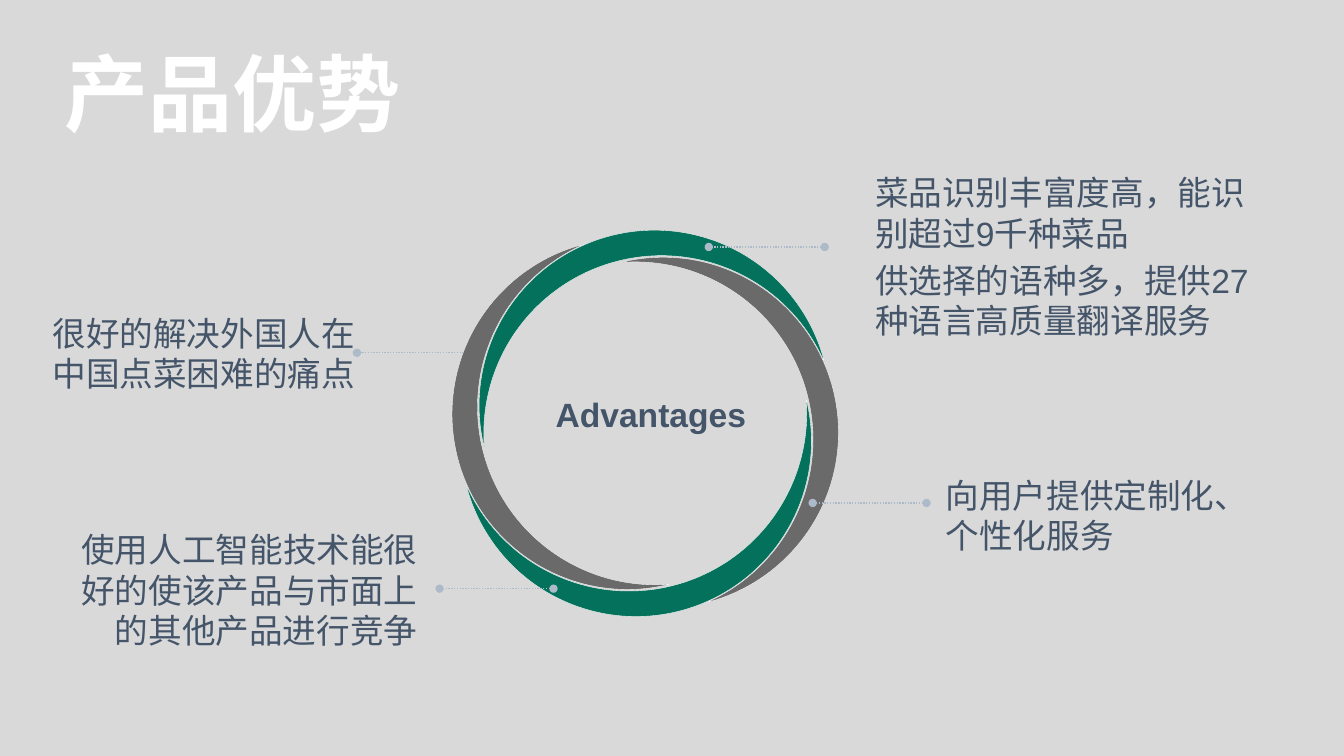
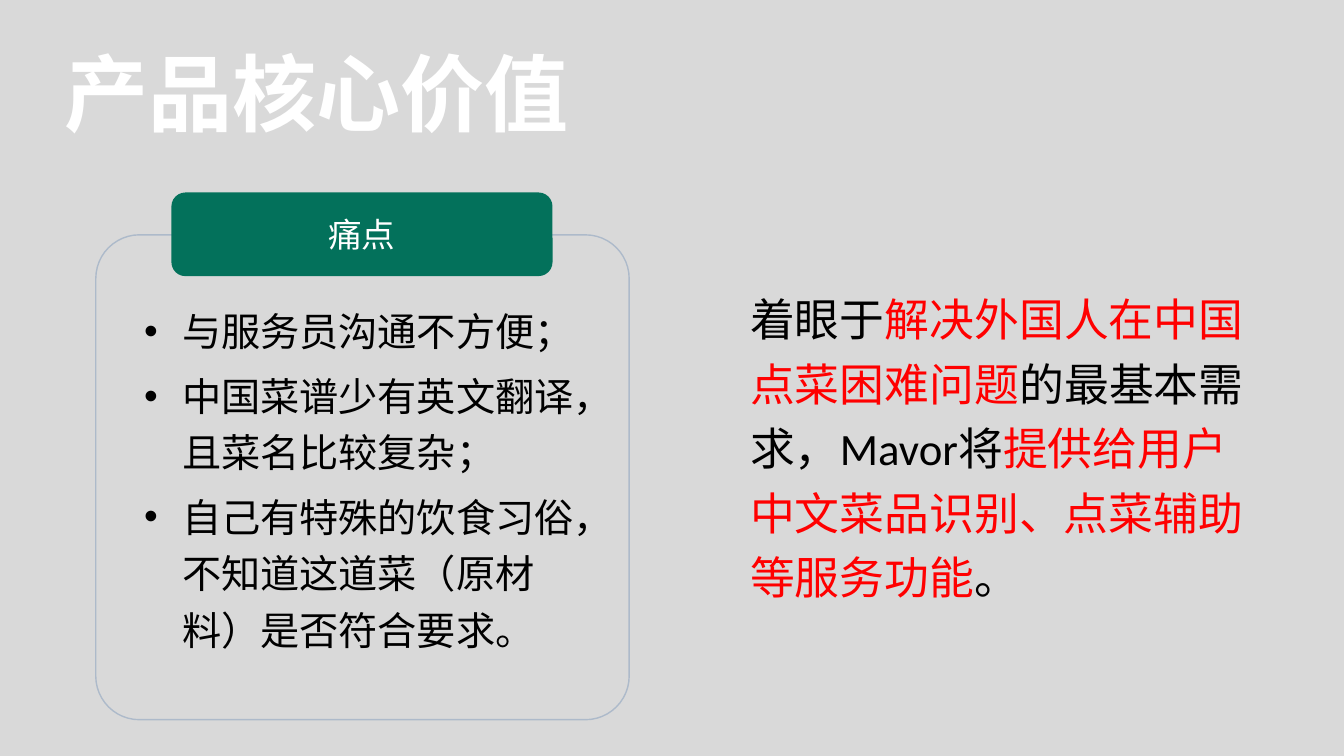
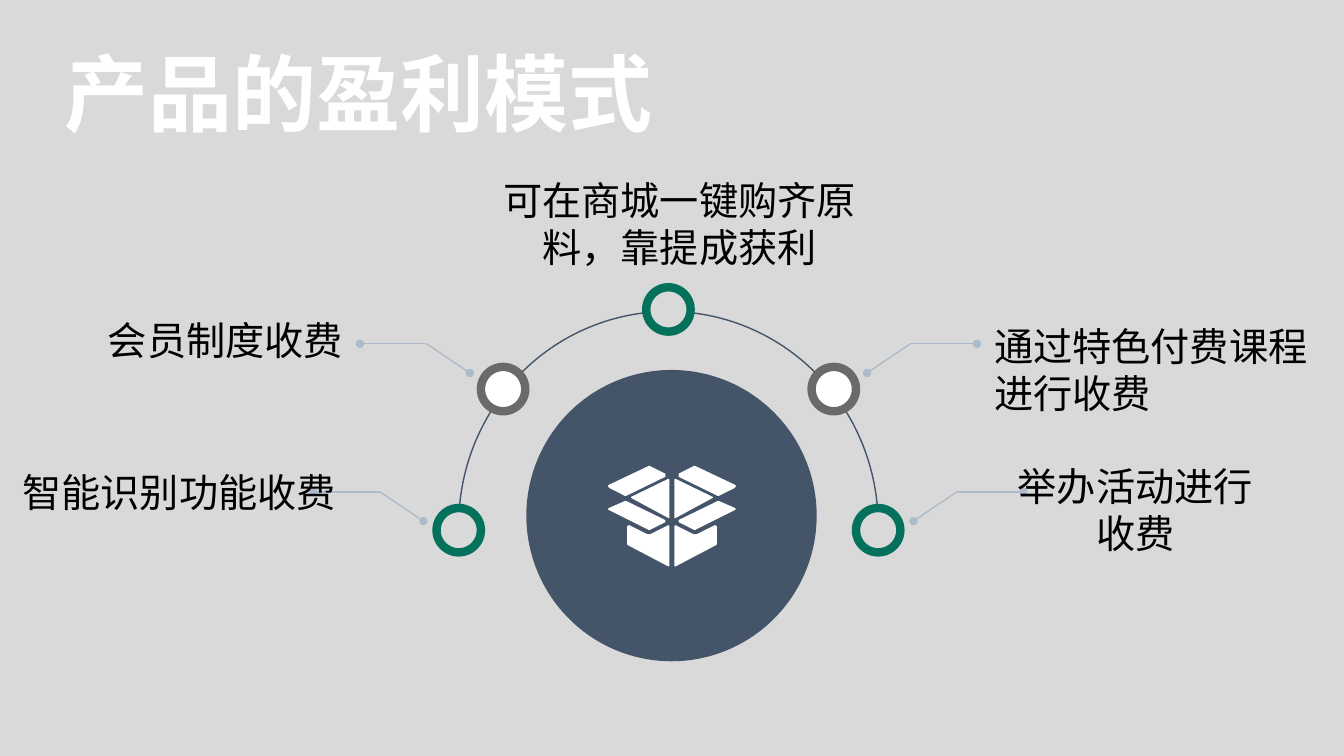
from itertools import chain

from lxml import etree
from pptx import Presentation
from pptx import util as u
from pptx.dml.color import RGBColor
from pptx.enum import dml, shapes, text
from pptx.oxml.ns import qn

BACKGROUND = RGBColor(0xD9, 0xD9, 0xD9)
GREEN = RGBColor(0x03, 0x71, 0x5B)
GREY = RGBColor(0x6A, 0x6A, 0x6A)
SLATE = RGBColor(0x44, 0x54, 0x69)
PALE_BLUE = RGBColor(0xAD, 0xBA, 0xCA)
OFF_WHITE = RGBColor(0xF8, 0xF8, 0xF8)
WHITE = RGBColor(0xFF, 0xFF, 0xFF)
BLACK = RGBColor(0, 0, 0)
RED = RGBColor(0xFF, 0, 0)
LATIN, CJK = "Calibri", "Noto Sans CJK SC"
LEFT, CENTER, RIGHT = text.PP_ALIGN.LEFT, text.PP_ALIGN.CENTER, text.PP_ALIGN.RIGHT
SHAPE = shapes.MSO_SHAPE


def add_text(s, box, lines, size=28, color=BLACK, align=LEFT, font=LATIN):
    """Add a text box without insets, one paragraph per line; return its frame."""
    tf = s.shapes.add_textbox(*map(u.Inches, box)).text_frame
    tf.word_wrap = True
    tf.margin_left = tf.margin_right = tf.margin_top = tf.margin_bottom = 0
    for i, line in enumerate(lines):
        p = tf.add_paragraph() if i else tf.paragraphs[0]
        p.text = line
        p.alignment = align
        p.space_before = u.Pt(0.2 * size if i else 0)
        p.font.size = u.Pt(size)
        p.font.name = font
        p.font.color.rgb = color
    return tf


def add_line(s, start, end, dots, dash=None):
    """Add a pale line; dots names the ends ("headEnd", "tailEnd") with a dot."""
    line = s.shapes.add_connector(
        shapes.MSO_CONNECTOR.STRAIGHT, *map(u.Inches, (*start, *end)))
    line.line.color.rgb = PALE_BLUE
    line.line.width = u.Pt(1)
    if dash:
        line.line.dash_style = dash
    props = line._element.spPr
    for dot in dots:
        etree.SubElement(props.find(qn("a:ln")), qn("a:" + dot), type="oval")
    etree.SubElement(props, qn("a:effectLst"))


prs = Presentation()
prs.slide_width, prs.slide_height = u.Inches(13.33), u.Inches(7.5)

# Shared look: background, East Asian fonts and title position
master = prs.slide_master
master.background.fill.solid()
master.background.fill.fore_color.rgb = BACKGROUND
for ea in chain(prs.element.iter(qn("a:ea")), master.element.iter(qn("a:ea"))):
    ea.set("typeface", LATIN)
for ea in master.element.find(".//" + qn("p:titleStyle")).iter(qn("a:ea")):
    ea.set("typeface", CJK)
title = master.placeholders[0]
title.left, title.top = u.Inches(0.54), u.Inches(0.36)
title.width, title.height = u.Inches(6.9), u.Inches(1.11)

CONTENT, TITLE_ONLY = 1, 5
slides = []
for name, layout in (("产品优势", TITLE_ONLY), ("产品核心价值", CONTENT),
                     ("产品的盈利模式", TITLE_ONLY)):
    s = prs.slides.add_slide(prs.slide_layouts[layout])
    tf = s.shapes.title.text_frame
    tf.text = name
    tf.auto_size = text.MSO_AUTO_SIZE.NONE
    tf.vertical_anchor = text.MSO_ANCHOR.TOP
    p = tf.paragraphs[0]
    p.alignment = LEFT
    p.font.size = u.Pt(60)
    p.font.bold = True
    p.font.name = CJK
    p.font.color.rgb = WHITE
    slides.append(s)
advantages, core_value, revenue = slides

# Slide 1: ring of four crescents, each a quarter turn after the last
s = advantages
moon_w, moon_h = 1.74, 3.48
dx, dy = -1.02, 0.12
for i in range(4):
    sp = s.shapes.add_shape(
        SHAPE.MOON, u.Inches(6.4 + dx - moon_w / 2), u.Inches(4.2 + dy - moon_h / 2),
        u.Inches(moon_w), u.Inches(moon_h))
    sp.adjustments[0] = 0.15
    sp.rotation = (345.9 + 90 * i) % 360
    sp.shadow.inherit = False
    sp.fill.solid()
    sp.fill.fore_color.rgb = GREEN if i % 2 else GREY
    sp.line.color.rgb = OFF_WHITE
    sp.line.width = u.Pt(0.25)
    dx, dy = -dy, dx

for x1, x2, y in ((4.69, 3.54, 3.5), (5.49, 4.36, 5.84),
                  (8.18, 7.03, 2.45), (9.19, 8.06, 4.99)):
    add_line(s, (x1, y), (x2, y), ("headEnd", "tailEnd"), dml.MSO_LINE.ROUND_DOT)
# The first line runs under the ring
tree = s.shapes._spTree
first_line = next(tree.iterchildren(qn("p:cxnSp")))
tree.insert(2, first_line)

for box, align, lines in (
        ((0.21, 3.1, 3.31, 0.81), RIGHT, ["很好的解决外国人在中国点菜困难的痛点"]),
        ((8.68, 1.71, 3.98, 1.7), LEFT, ["菜品识别丰富度高，能识别超过9千种菜品",
                                         "供选择的语种多，提供27种语言高质量翻译服务"]),
        ((0.64, 5.25, 3.5, 1.21), RIGHT,
         ["使用人工智能技术能很好的使该产品与市面上的其他产品进行竞争"]),
        ((9.38, 4.71, 2.98, 0.81), LEFT, ["向用户提供定制化、个性化服务"])):
    add_text(s, box, lines, 24, SLATE, align, "Arial")
tf = add_text(s, (5.3, 3.91, 2.31, 0.4), ["Advantages"], 24, SLATE, CENTER, "Arial")
tf.paragraphs[0].font.bold = True

# Slide 2: pain points in a frame, value statement beside it
s = core_value
frame = s.shapes.add_shape(SHAPE.ROUNDED_RECTANGLE, *map(u.Inches, (0.95, 2.33, 5.29, 4.81)))
frame.adjustments[0] = 0.09
frame.fill.background()
frame.line.color.rgb = PALE_BLUE
frame.line.width = u.Pt(1)
label = s.shapes.add_shape(SHAPE.ROUNDED_RECTANGLE, *map(u.Inches, (1.7, 1.91, 3.78, 0.83)))
label.fill.solid()
label.fill.fore_color.rgb = GREEN
label.line.fill.background()
for sp in (frame, label):
    sp.shadow.inherit = False
label.text_frame.text = "痛点"
p = label.text_frame.paragraphs[0]
p.alignment = CENTER
p.font.size = u.Pt(24)
p.font.name = LATIN
p.font.color.rgb = WHITE

body = s.placeholders[1]
body.left, body.top = u.Inches(1.33), u.Inches(2.91)
body.width, body.height = u.Inches(4.67), u.Inches(3.63)
tf = body.text_frame
tf.text = "\n".join(("与服务员沟通不方便；", "中国菜谱少有英文翻译，且菜名比较复杂；",
                     "自己有特殊的饮食习俗，不知道这道菜（原材料）是否符合要求。"))
tf.auto_size = text.MSO_AUTO_SIZE.NONE
for i, p in enumerate(tf.paragraphs):
    p.line_spacing = 1.2
    p.space_before = u.Pt(5.6 if i else 0)
    p.font.size = u.Pt(28)
    p.font.name = LATIN
    p.font.color.rgb = BLACK

tf = add_text(s, (7.44, 2.79, 4.98, 3.17), [""], 32)
p = tf.paragraphs[0]
p.line_spacing = 1.2
for words, color in (("着眼于", BLACK), ("解决外国人在中国点菜困难问题", RED),
                     ("的最基本需求，Mavor将", BLACK),
                     ("提供给用户中文菜品识别、点菜辅助等服务功能", RED), ("。", BLACK)):
    r = p.add_run()
    r.text = words
    r.font.color.rgb = color

# Slide 3: five revenue sources on an arc around a box icon
s = revenue
MID = 6.63
arc = s.shapes.add_shape(SHAPE.ARC, *map(u.Inches, (MID - 2.08, 3.09, 4.16, 4.24)))
arc.adjustments[0] = 108  # 180 degrees, in units of 100000/60000 degree
arc.adjustments[1] = 0
arc.shadow.inherit = False
arc.fill.background()
arc.line.color.rgb = SLATE
arc.line.width = u.Pt(1)

NODE = 0.44
for offset, y, fill, ring in ((0, 3.07, BACKGROUND, GREEN), (1.64, 3.86, WHITE, GREY),
                              (-1.64, 3.86, WHITE, GREY), (2.08, 5.26, BACKGROUND, GREEN),
                              (-2.08, 5.26, BACKGROUND, GREEN)):
    node = s.shapes.add_shape(
        SHAPE.OVAL, u.Inches(MID + offset - NODE / 2), u.Inches(y - NODE / 2),
        u.Inches(NODE), u.Inches(NODE))
    node.shadow.inherit = False
    node.fill.solid()
    node.fill.fore_color.rgb = fill
    node.line.color.rgb = ring
    node.line.width = u.Pt(6)

# Right half of the open box; the left half is its mirror image
BOX_MID = 6.665
half_box = (
    ((6.69, 4.75), (6.7, 4.75), (7.07, 4.93), (7.07, 4.94), (6.7, 5.14), (6.69, 5.14)),
    ((6.73, 4.7), (6.89, 4.62), (7.29, 4.81), (7.3, 4.82), (7.29, 4.84), (7.13, 4.92),
     (7.12, 4.92), (6.73, 4.73)),
    ((6.73, 5.16), (7.12, 4.97), (7.13, 4.97), (7.29, 5.04), (7.3, 5.05), (7.29, 5.06),
     (6.89, 5.26), (6.73, 5.18)),
    ((6.69, 5.22), (6.7, 5.21), (6.88, 5.3), (6.91, 5.3), (7.09, 5.21), (7.11, 5.22),
     (7.11, 5.4), (7.1, 5.41), (6.7, 5.62), (6.69, 5.62)),
)
mirrored = [[(2 * BOX_MID - x, y) for x, y in panel] for panel in half_box]
disc = s.shapes.add_shape(SHAPE.OVAL, *map(u.Inches, (5.22, 3.67, 2.88, 2.89)))
builder = None
for panel in chain(half_box, mirrored):
    points = [(u.Inches(x), u.Inches(y)) for x, y in panel]
    if builder is None:
        builder = s.shapes.build_freeform(*points[0])
    else:
        builder.move_to(*points[0])
    builder.add_line_segments(points[1:], close=True)
box_icon = builder.convert_to_shape()
for sp, color in ((disc, SLATE), (box_icon, WHITE)):
    sp.shadow.inherit = False
    sp.fill.solid()
    sp.fill.fore_color.rgb = color
    sp.line.fill.background()

for side in (1, -1):
    for shift, drop in ((0, 0), (0.46, 1.47)):
        near, bend, far = (MID + side * (d + shift) for d in (1.97, 2.4, 3.06))
        add_line(s, (near, 3.7 + drop), (bend, 3.41 + drop), ("headEnd",))
        add_line(s, (bend, 3.41 + drop), (far, 3.41 + drop), ("tailEnd",))

for box, align, words in (
        ((9.86, 3.2, 3.12, 0.94), LEFT, "通过特色付费课程进行收费"),
        ((9.98, 4.59, 2.56, 0.94), CENTER, "举办活动进行收费"),
        ((0.84, 3.14, 2.56, 0.47), RIGHT, "会员制度收费"),
        ((0.13, 4.65, 3.2, 0.47), RIGHT, "智能识别功能收费"),
        ((4.87, 1.75, 3.74, 0.94), CENTER, "可在商城一键购齐原料，靠提成获利")):
    add_text(s, box, [words], align=align)

prs.save("out.pptx")
